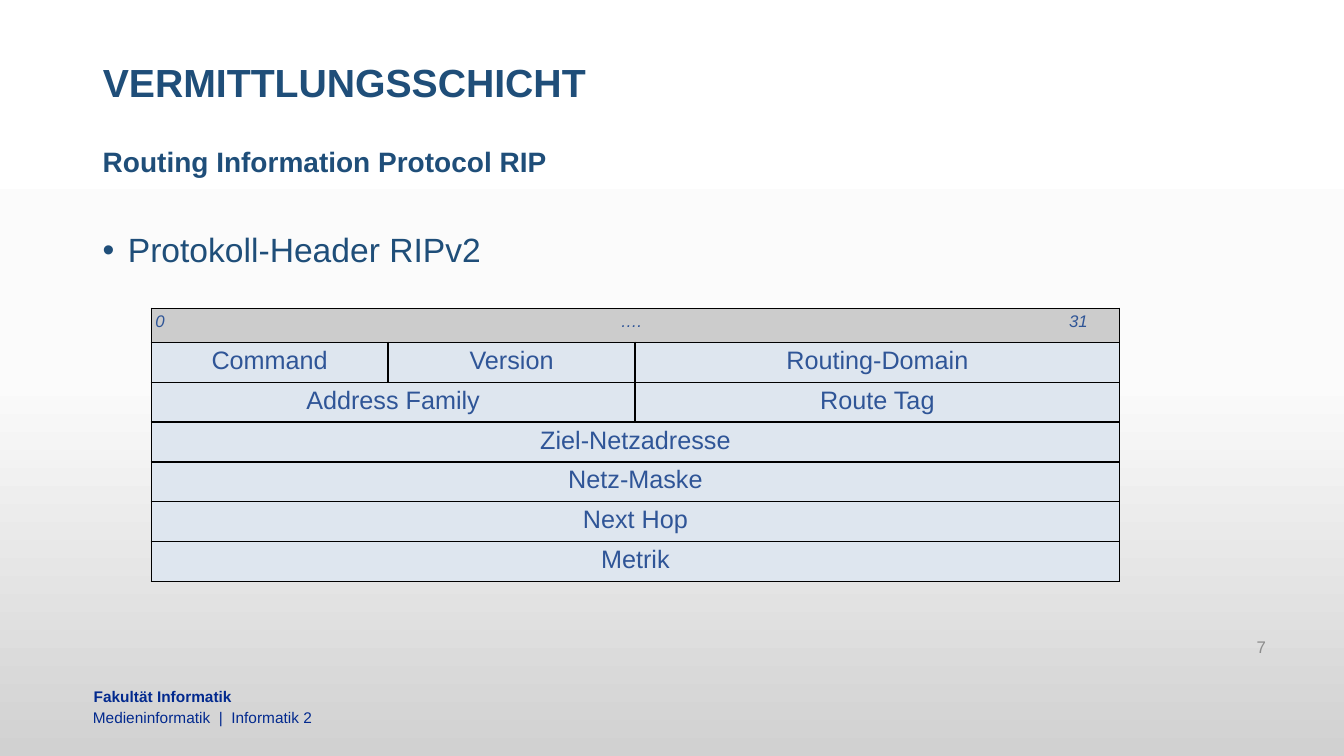
from pptx import Presentation
from pptx.dml.color import RGBColor
from pptx.enum.text import MSO_ANCHOR as Anchor, MSO_AUTO_SIZE as AutoSize, PP_ALIGN as Align
from pptx.oxml import parse_xml
from pptx.oxml.ns import nsdecls
from pptx.util import Pt

PX = 3810  # EMU per px, 240 px to the inch
FONT = "Arial"
COLORS = {
    "title": "1F4E79", "footer": "02298E", "number": "8C8C8C", "cell_text": "2F5597",
    "scale_row": "CCCCCC", "field": "DEE6EF", "border": "000000",
}
BACKGROUND = [(0, "FFFFFF"), (50, "FBFBFB"), (100, "D1D1D1")]
COLUMNS = [564, 588, 1154]
SCALE_HEIGHT, FIELD_HEIGHT = 81, 95
# Each header row lists its fields with the number of columns they cover
FIELDS = [
    [("Command", 1), ("Version", 1), ("Routing-Domain", 1)],
    [("Address Family", 2), ("Route Tag", 1)],
    [("Ziel-Netzadresse", 3)],
    [("Netz-Maske", 3)],
    [("Next Hop", 3)],
    [("Metrik", 3)],
]


def px(length):
    return length * PX


def add_span(para, text, size, color, bold=False, italic=False):
    span = para.add_run()
    span.text = text
    font = span.font
    font.name, font.size, font.bold, font.italic = FONT, Pt(size), bold, italic
    font.color.rgb = RGBColor.from_string(COLORS[color])


def set_insets(target, left, top):
    target.margin_left = target.margin_right = px(left)
    target.margin_top = target.margin_bottom = px(top)


def add_text(page, box, text, size, color, bold=False, align=Align.LEFT,
             anchor=Anchor.TOP, insets=(24, 12), spacing=None):
    frame = page.shapes.add_textbox(*map(px, box)).text_frame
    frame.word_wrap = True
    frame.vertical_anchor = anchor
    set_insets(frame, *insets)
    para = frame.paragraphs[0]
    para.alignment = align
    para.line_spacing = spacing
    add_span(para, text, size, color, bold)
    return para


def paint_background(page):
    stops = "".join(f'<a:gs pos="{pos * 1000}"><a:srgbClr val="{color}"/></a:gs>'
                    for pos, color in BACKGROUND)
    page.element.cSld.insert(0, parse_xml(
        f'<p:bg {nsdecls("p", "a")}><p:bgPr><a:gradFill rotWithShape="1">'
        f'<a:gsLst>{stops}</a:gsLst><a:lin ang="5400000" scaled="0"/></a:gradFill>'
        '<a:effectLst/></p:bgPr></p:bg>'))


def add_heading(page, box):
    left, top, width, height = box
    title = page.shapes.title
    title.left, title.top, title.width, title.height = map(px, (left, top, width, 235))
    frame = title.text_frame
    frame.auto_size = AutoSize.NONE
    frame.vertical_anchor = Anchor.MIDDLE
    para = frame.paragraphs[0]
    para.alignment = Align.LEFT
    para.line_spacing = 0.9
    add_span(para, "VERMITTLUNGSSCHICHT", 28, "title", bold=True)

    # Subtitle at the foot of the heading
    add_text(page, (left, top + height - 120, width, 120), "Routing Information Protocol RIP",
             20, "title", bold=True, spacing=0.9)


def add_bullet(page, box):
    para = add_text(page, box, "Protokoll-Header RIPv2", 24, "title", spacing=0.9)
    props = para._p.get_or_add_pPr()
    props.set("marL", str(px(60)))
    props.set("indent", str(-px(60)))
    props.append(parse_xml(f'<a:buFont {nsdecls("a")} typeface="{FONT}"/>'))
    props.append(parse_xml(f'<a:buChar {nsdecls("a")} char="•"/>'))


def style_cell(cell, fill):
    props = cell._tc.get_or_add_tcPr()
    for side in ("lnL", "lnR", "lnT", "lnB"):
        props.append(parse_xml(
            f'<a:{side} {nsdecls("a")} w="{Pt(1)}"><a:solidFill>'
            f'<a:srgbClr val="{COLORS["border"]}"/></a:solidFill></a:{side}>'))
    cell.fill.solid()
    cell.fill.fore_color.rgb = RGBColor.from_string(COLORS[fill])
    set_insets(cell, 10, 10)


def add_header_table(page, left, top):
    heights = [SCALE_HEIGHT] + [FIELD_HEIGHT] * len(FIELDS)
    box = (left, top, sum(COLUMNS), sum(heights))
    table = page.shapes.add_table(len(heights), len(COLUMNS), *map(px, box)).table
    table.first_row = table.horz_banding = False
    for column, width in zip(table.columns, COLUMNS):
        column.width = px(width)
    for index, (row, height) in enumerate(zip(table.rows, heights)):
        row.height = px(height)
        for cell in row.cells:
            style_cell(cell, "field" if index else "scale_row")

    # Bit scale: first, middle and last bit on tab stops
    scale = table.cell(0, 0)
    scale.merge(table.cell(0, len(COLUMNS) - 1))
    para = scale.text_frame.paragraphs[0]
    para._p.get_or_add_pPr().append(parse_xml(
        f'<a:tabLst {nsdecls("a")}><a:tab pos="{px(1133)}" algn="ctr"/>'
        f'<a:tab pos="{px(2220)}" algn="r"/></a:tabLst>'))
    add_span(para, "0\t….\t31", 12, "cell_text", italic=True)

    # Header fields
    for row, fields in enumerate(FIELDS, start=1):
        column = 0
        for name, width in fields:
            cell = table.cell(row, column)
            if width > 1:
                cell.merge(table.cell(row, column + width - 1))
            para = cell.text_frame.paragraphs[0]
            para.alignment = Align.CENTER
            add_span(para, name, 18, "cell_text")
            column += width


def add_footer(page, box):
    left, top, width, height = box
    add_text(page, (left + 2, top, width, height), "Fakultät Informatik", 11, "footer",
             bold=True, insets=(0, 0))
    add_text(page, (left, top + height, width, height), "Medieninformatik  |  Informatik 2",
             11, "footer", insets=(0, 0))


def main():
    deck = Presentation()
    deck.slide_width, deck.slide_height = px(3200), px(1800)
    page = deck.slides.add_slide(deck.slide_layouts[5])
    paint_background(page)
    add_footer(page, (221, 1637, 2045, 48))
    add_heading(page, (221, 84, 2760, 377))
    add_bullet(page, (221, 545, 2760, 535))
    add_header_table(page, 360, 734)
    # Slide number
    add_text(page, (2292, 1493, 746, 96), "7", 12, "number",
             align=Align.RIGHT, anchor=Anchor.MIDDLE)
    deck.save("out.pptx")


if __name__ == "__main__":
    main()
